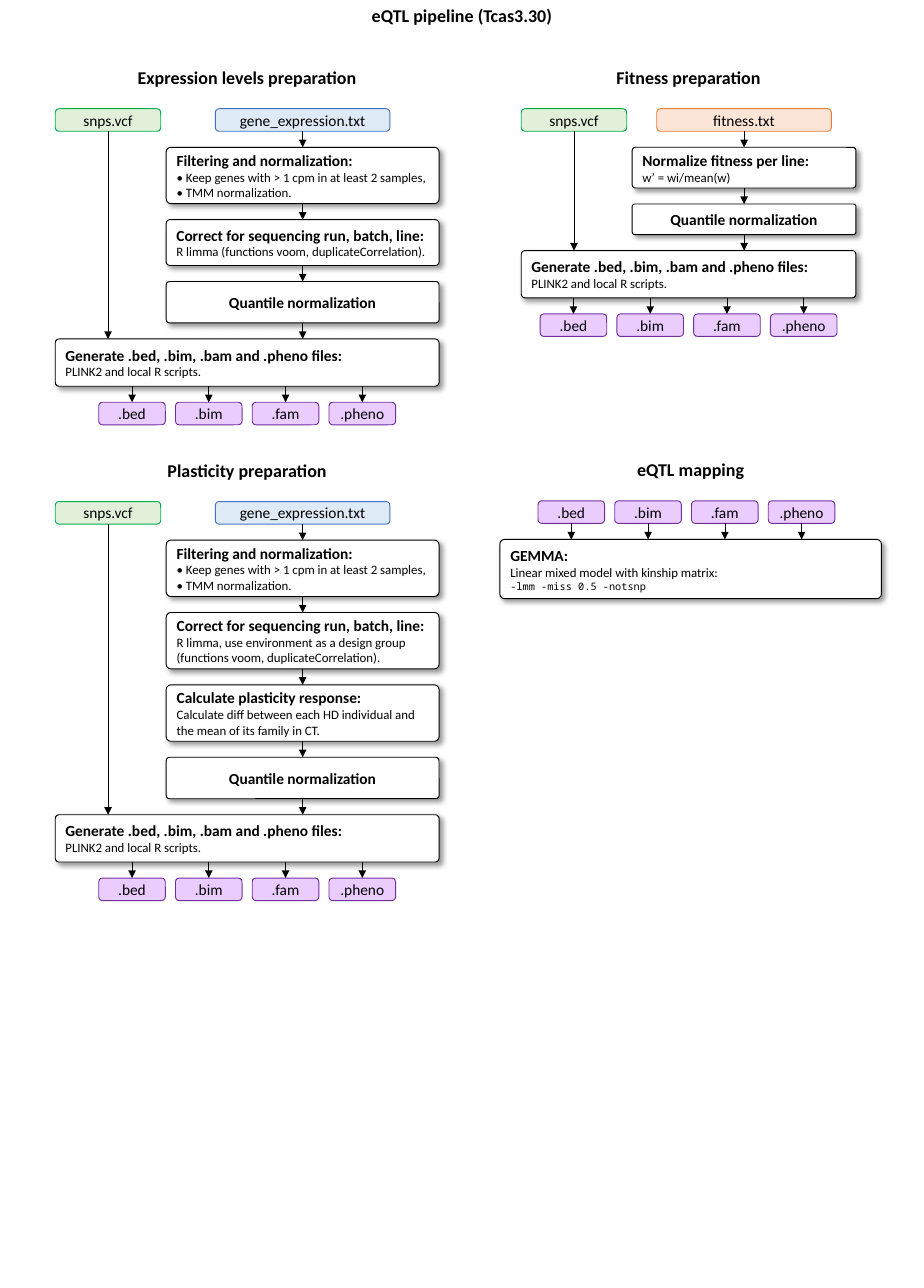
from lxml import etree
from pptx import Presentation
from pptx import util as u
from pptx.dml import color
from pptx.enum import shapes, text
from pptx.oxml import ns

BLACK = color.RGBColor(0x00, 0x00, 0x00)
WHITE = color.RGBColor(0xFF, 0xFF, 0xFF)
# Fill and line of each kind of file
GREEN = color.RGBColor(0xE2, 0xF0, 0xD9), color.RGBColor(0x00, 0xB0, 0x50)
BLUE = color.RGBColor(0xDE, 0xEB, 0xF7), color.RGBColor(0x44, 0x72, 0xC4)
ORANGE = color.RGBColor(0xFB, 0xE5, 0xD6), color.RGBColor(0xED, 0x7D, 0x31)
PURPLE = color.RGBColor(0xEA, 0xCC, 0xFF), color.RGBColor(0x70, 0x30, 0xA0)

TOP, BOTTOM = 0, 2  # connection sites
# Shared measures in centimetres
GAP = 0.44
FILE_HEIGHT = 0.62
SNPS_WIDTH = 2.9
INPUT_WIDTH = 4.8
OUTPUT_WIDTH = 1.83
OUTPUT_PITCH = 2.11
HEADING_HEIGHT = 0.86
HEADING_RISE = 1.28
OUTPUTS = [".bed", ".bim", ".fam", ".pheno"]

# Steps: height, heading, detail lines
FILTERING = (1.55, "Filtering and normalization:",
             "• Keep genes with > 1 cpm in at least 2 samples,",
             "• TMM normalization.")
CORRECTION = (1.26, "Correct for sequencing run, batch, line:",
              "R limma (functions voom, duplicateCorrelation).")
GROUP_CORRECTION = (1.55, "Correct for sequencing run, batch, line:",
                    "R limma, use environment as a design group",
                    "(functions voom, duplicateCorrelation).")
RESPONSE = (1.55, "Calculate plasticity response:",
            "Calculate diff between each HD individual and "
            "the mean of its family in CT.")
FITNESS = (1.12, "Normalize fitness per line:", "w’ = wi/mean(w)")
QUANTILE = (1.14, "Quantile normalization")
LOW_QUANTILE = (0.84, "Quantile normalization")
GENERATE = (1.3, "Generate .bed, .bim, .bam and .pheno files:",
            "PLINK2 and local R scripts.")
GEMMA = (1.63, "GEMMA:", "Linear mixed model with kinship matrix:")


def write(frame, words, *, size=12, bold=False, font="Calibri", centred=True):
    """Add one paragraph to a text frame, using the empty first one if any."""
    para = frame.paragraphs[0] if not frame.text else frame.add_paragraph()
    para.alignment = text.PP_ALIGN.CENTER if centred else text.PP_ALIGN.LEFT
    span = para.add_run()
    span.text = words
    span.font.size = u.Pt(size)
    span.font.bold = bold
    span.font.name = font
    span.font.color.rgb = BLACK


class Flowchart:
    """Holds the current slide and draws the elements of the pipeline on it."""

    def __init__(self, page):
        self.page = page

    def format_title(self, frame, words):
        frame.word_wrap = True
        frame.auto_size = text.MSO_AUTO_SIZE.SHAPE_TO_FIT_TEXT
        write(frame, words, size=14, bold=True)

    def page_title(self, words, width):
        title = self.page.shapes.title
        title.left, title.top = u.Cm(0), u.Cm(0)
        title.width, title.height = u.Cm(width), u.Cm(HEADING_HEIGHT)
        self.format_title(title.text_frame, words)

    def heading(self, words, left, top, width):
        box = self.page.shapes.add_textbox(
            u.Cm(left), u.Cm(top), u.Cm(width), u.Cm(HEADING_HEIGHT))
        self.format_title(box.text_frame, words)

    def box(self, left, top, width, height, fill, line):
        box = self.page.shapes.add_shape(
            shapes.MSO_SHAPE.ROUNDED_RECTANGLE,
            u.Cm(left), u.Cm(top), u.Cm(width), u.Cm(height))
        box.fill.solid()
        box.fill.fore_color.rgb = fill
        box.line.color.rgb = line
        box.line.width = u.Pt(0.75)
        box.shadow.inherit = False
        box.text_frame.word_wrap = True
        box.text_frame.vertical_anchor = text.MSO_ANCHOR.MIDDLE
        return box

    def file(self, words, left, top, width, colours):
        box = self.box(left, top, width, FILE_HEIGHT, *colours)
        write(box.text_frame, words)
        return box

    def step(self, left, top, width, content):
        height, heading, *details = content
        box = self.box(left, top, width, height, WHITE, BLACK)
        box.adjustments[0] = 0.08
        self.cast_shadow(box)
        write(box.text_frame, heading, bold=True, centred=not details)
        for detail in details:
            write(box.text_frame, detail, size=10, centred=False)
        return box

    def cast_shadow(self, box):
        effects = box._element.spPr.find(ns.qn("a:effectLst"))
        shadow = etree.SubElement(
            effects, ns.qn("a:outerShdw"), blurRad=str(u.Pt(4)),
            dist=str(u.Pt(3)), dir="2700000", algn="tl", rotWithShape="0")
        black = etree.SubElement(shadow, ns.qn("a:srgbClr"), val=str(BLACK))
        etree.SubElement(black, ns.qn("a:alpha"), val="40000")

    def arrow(self, upper, lower):
        """Point straight down, along the middle of the narrower box."""
        narrow = min(upper, lower, key=lambda box: box.width)
        x = narrow.left + narrow.width // 2
        line = self.page.shapes.add_connector(
            shapes.MSO_CONNECTOR.STRAIGHT,
            x, upper.top + upper.height, x, lower.top)
        for box, site, join in ((upper, BOTTOM, line.begin_connect),
                                (lower, TOP, line.end_connect)):
            if abs(box.left + box.width // 2 - x) < u.Cm(0.02):
                join(box, site)
        line.line.color.rgb = BLACK
        line.line.width = u.Pt(0.5)
        properties = line._element.spPr
        etree.SubElement(properties.find(ns.qn("a:ln")),
                         ns.qn("a:tailEnd"), type="triangle")
        etree.SubElement(properties, ns.qn("a:effectLst"))

    def outputs(self, centre, top):
        first = centre - (OUTPUT_PITCH * (len(OUTPUTS) - 1) + OUTPUT_WIDTH) / 2
        return [self.file(name, first + i * OUTPUT_PITCH, top,
                          OUTPUT_WIDTH, PURPLE)
                for i, name in enumerate(OUTPUTS)]

    def preparation(self, title, left, top, width, step_width,
                    source, colours, steps):
        """Draw a panel that runs from the input files to the output files."""
        self.heading(title, left, top - HEADING_RISE, width)
        step_left = left + width - step_width
        input_left = step_left + (step_width - INPUT_WIDTH) / 2
        snps = self.file("snps.vcf", left, top, SNPS_WIDTH, GREEN)
        last = self.file(source, input_left, top, INPUT_WIDTH, colours)
        top += FILE_HEIGHT + GAP
        for content in steps:
            box = self.step(step_left, top, step_width, content)
            self.arrow(last, box)
            last = box
            top += content[0] + GAP
        generate = self.step(left, top, width, GENERATE)
        self.arrow(last, generate)
        self.arrow(snps, generate)
        top += GENERATE[0] + GAP
        for output in self.outputs(left + width / 2, top):
            self.arrow(generate, output)

    def mapping(self, title, left, top, width, centre):
        """Draw the panel that feeds the prepared files to the model."""
        self.heading(title, left, top - HEADING_RISE, width)
        files = self.outputs(centre, top)
        model = self.step(left, top + FILE_HEIGHT + GAP, width, GEMMA)
        write(model.text_frame, "-lmm -miss 0.5 -notsnp", size=8,
              font="Noto Sans Mono", centred=False)
        for file in files:
            self.arrow(file, model)


def main():
    deck = Presentation()
    deck.slide_width, deck.slide_height = u.Cm(25.4), u.Cm(35.41)
    chart = Flowchart(deck.slides.add_slide(deck.slide_layouts[5]))
    chart.page_title("eQTL pipeline (Tcas3.30)", 25.4)

    # Upper row
    chart.preparation("Expression levels preparation", 1.52, 2.99, 10.55, 7.5,
                      "gene_expression.txt", BLUE,
                      [FILTERING, CORRECTION, QUANTILE])
    chart.preparation("Fitness preparation", 14.33, 2.99, 9.2, 6.15,
                      "fitness.txt", ORANGE, [FITNESS, LOW_QUANTILE])

    # Lower row
    chart.preparation("Plasticity preparation", 1.52, 13.79, 10.55, 7.5,
                      "gene_expression.txt", BLUE,
                      [FILTERING, GROUP_CORRECTION, RESPONSE, QUANTILE])
    chart.mapping("eQTL mapping", 13.74, 13.77, 10.49, 18.87)

    deck.save("out.pptx")


if __name__ == "__main__":
    main()
